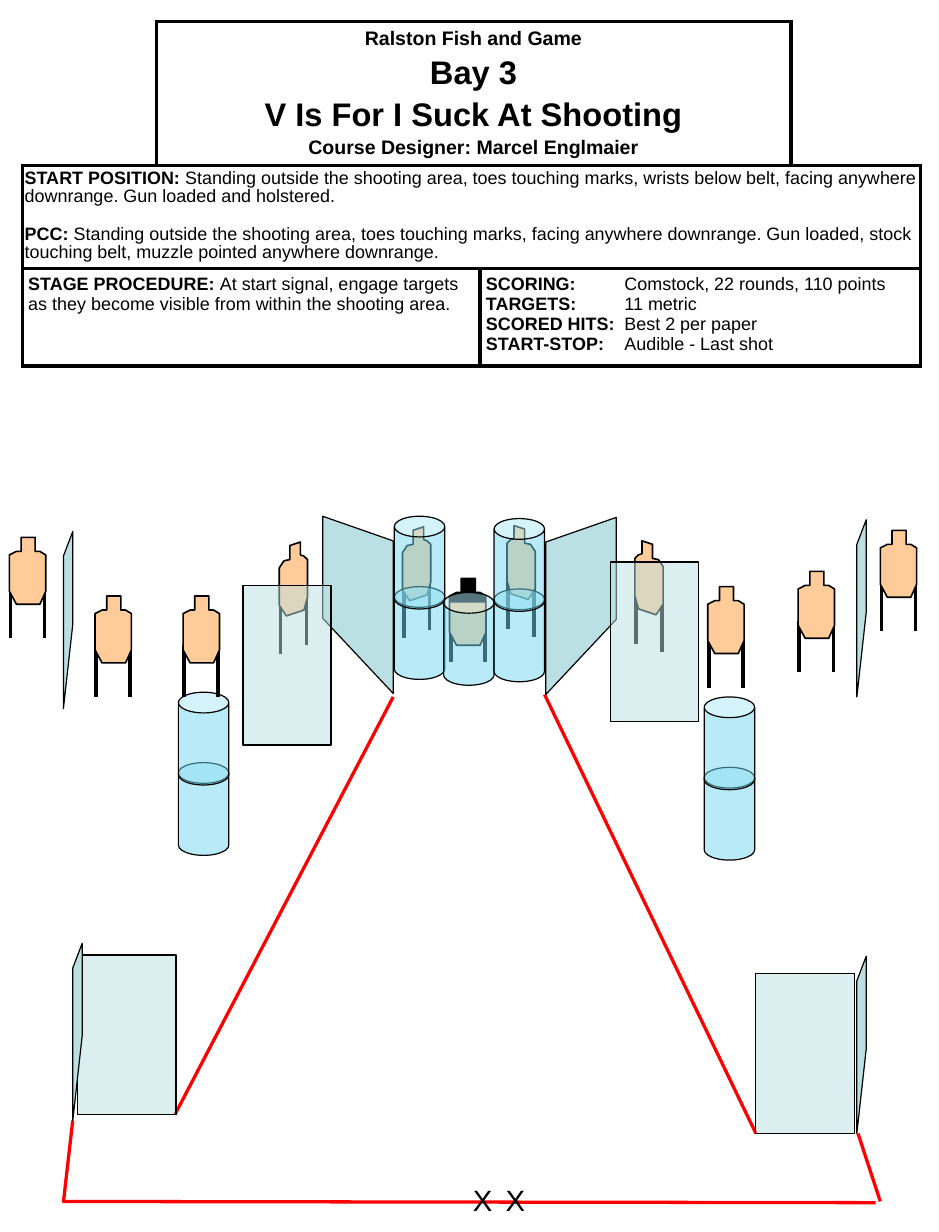
"""Builds the one-page stage diagram for a shooting match."""
import dataclasses

import lxml.etree
import pptx
import pptx.dml.color
import pptx.enum.shapes
import pptx.enum.text
import pptx.oxml.ns
import pptx.util

SHAPES = pptx.enum.shapes.MSO_SHAPE
FRONT_TARGET = [(.1, 0), (.22, 0), (.22, .12), (.26, .12), (.31, .15), (.31, .46),
                (.26, .57), (.06, .57), (0, .46), (0, .15), (.06, .12), (.1, .12)]
ANGLED_TARGET = [(.09, .03), (.18, 0), (.18, .11), (.21, .12), (.24, .15), (.24, .47),
                 (.21, .58), (.06, .63), (0, .54), (0, .22), (.04, .16), (.09, .15)]
HARD_COVER = [(0, .08), (.01, .04), (.04, .02), (.06, .01), (.12, 0), (.24, 0),
              (.27, .02), (.3, .04), (.31, .08)]


@dataclasses.dataclass(frozen=True)
class Theme:
    font: str = "Arial"
    black: str = "000000"
    white: str = "FFFFFF"
    fault_line: str = "FF0000"
    target: str = "FFCC99"
    barrel: str = "73D9F1"
    wall: str = "BBE0E3"
    title: float = 20
    heading: float = 12
    body: float = 11
    mark: float = 18
    thin: float = .75
    outline: float = 1
    fault_width: float = 2
    thick: float = 2.25


def inches(value):
    return pptx.util.Cm(value * 2.54)


def color(value):
    return pptx.dml.color.RGBColor.from_string(value)


def add_element(parent, tag, **attributes):
    return lxml.etree.SubElement(parent, pptx.oxml.ns.qn(tag), attributes)


class StageSheet:
    def __init__(self, slide, theme):
        self.slide = slide
        self.theme = theme

    def style(self, shape, fill, width, translucent=False):
        shape.shadow.inherit = False
        shape.fill.solid()
        shape.fill.fore_color.rgb = color(fill)
        if translucent:
            solid = shape._element.spPr.find(pptx.oxml.ns.qn("a:solidFill"))
            add_element(solid[0], "a:alpha", val="50000")
        shape.line.color.rgb = color(self.theme.black)
        shape.line.width = pptx.util.Pt(width)

    def preset(self, kind, left, top, width, height, fill, translucent=False):
        shape = self.slide.shapes.add_shape(kind, *map(inches, (left, top, width, height)))
        self.style(shape, fill, self.theme.thin, translucent)
        return shape

    def polygon(self, left, top, points, fill, width, mirror=False):
        span = max(x for x, y in points)
        corners = [(inches(left + (span - x if mirror else x)), inches(top + y))
                   for x, y in points]
        builder = self.slide.shapes.build_freeform(*corners[0])
        builder.add_line_segments(corners[1:], close=True)
        self.style(builder.convert_to_shape(), fill, width)

    def line(self, start, end, stroke, width):
        straight = pptx.enum.shapes.MSO_CONNECTOR.STRAIGHT
        connector = self.slide.shapes.add_connector(straight, *map(inches, start + end))
        connector.line.color.rgb = color(stroke)
        connector.line.width = pptx.util.Pt(width)
        add_element(connector._element.spPr, "a:effectLst")

    def leg(self, x, top):
        self.line((x, top), (x, top + .44), self.theme.black, self.theme.thick)

    def front_target(self, left, top, leg_drop=.42):
        for offset in (.01, .3):
            self.leg(left + offset, top + leg_drop)
        self.polygon(left, top, FRONT_TARGET, self.theme.target, self.theme.outline)

    def angled_target(self, left, top, mirror=False):
        for offset, drop in ((.01, .51), (.23, .44)):
            self.leg(left + (.24 - offset if mirror else offset), top + drop)
        self.polygon(left, top, ANGLED_TARGET, self.theme.target, self.theme.outline, mirror)

    def barrels(self, left, top, count=2):
        for level in reversed(range(count)):
            barrel = self.preset(SHAPES.CAN, left, top + .6 * level, .43, .79,
                                 self.theme.barrel, True)
            barrel.adjustments[0] = .41

    def wall(self, left, top, width, far_edge, mirror=False):
        corners = [(width, far_edge), (0, 1.51), (0, .21), (width, 0)]
        self.polygon(left, top, corners, self.theme.wall, self.theme.thin, mirror)

    def screen(self, left, top, width):
        self.preset(SHAPES.RECTANGLE, left, top, width, 1.36, self.theme.wall, True)

    def text(self, paragraph, runs, size, before=0, spacing=None, centered=False, tab=None):
        if tab:
            tabs = add_element(paragraph._p.get_or_add_pPr(), "a:tabLst")
            add_element(tabs, "a:tab", pos=str(inches(tab)), algn="l")
        paragraph.font.name = self.theme.font
        paragraph.font.size = pptx.util.Pt(size)
        paragraph.font.color.rgb = color(self.theme.black)
        if before:
            paragraph.space_before = pptx.util.Pt(before)
        if spacing:
            paragraph.line_spacing = spacing
        if centered:
            paragraph.alignment = pptx.enum.text.PP_ALIGN.CENTER
        for content, bold in runs:
            run = paragraph.add_run()
            run.text = content
            run.font.bold = bold

    def mark(self, left, top):
        box = self.slide.shapes.add_textbox(*map(inches, (left, top, .31, .4)))
        box.text_frame.word_wrap = True
        self.text(box.text_frame.paragraphs[0], [("X", False)], self.theme.mark)

    def table(self, left, top, columns, rows):
        table = self.slide.shapes.add_table(
            len(rows), len(columns),
            *map(inches, (left, top, sum(columns), sum(rows)))).table
        table.first_row = table.horz_banding = False
        for column, width in zip(table.columns, columns):
            column.width = inches(width)
        for row, height in zip(table.rows, rows):
            row.height = inches(height)
        return table

    def cell(self, cell, sides="LRTB"):
        for side in sides:
            border = add_element(cell._tc.get_or_add_tcPr(), f"a:ln{side}",
                                 w=str(pptx.util.Pt(self.theme.thick)))
            add_element(add_element(border, "a:solidFill"), "a:srgbClr", val=self.theme.black)
        cell.fill.solid()
        cell.fill.fore_color.rgb = color(self.theme.white)

    def fill_cell(self, cell, paragraphs, margins=(.05, .05)):
        cell.margin_left = cell.margin_right = inches(margins[0])
        cell.margin_top = cell.margin_bottom = inches(margins[1])
        for index, (runs, options) in enumerate(paragraphs):
            frame = cell.text_frame
            paragraph = frame.add_paragraph() if index else frame.paragraphs[0]
            self.text(paragraph, runs, **options)


def add_briefing(sheet):
    theme = sheet.theme
    table = sheet.table(.19, .18, [1.14, 2.76, 2.65, 1.1], [1.23, .88, .83])
    open_corners = {(0, 0): "RB", (0, 3): "LB"}
    for row in range(3):
        for column in range(4):
            sheet.cell(table.cell(row, column), open_corners.get((row, column), "LRTB"))
    for first, last in (((0, 1), (0, 2)), ((1, 0), (1, 3)), ((2, 0), (2, 1)), ((2, 2), (2, 3))):
        table.cell(*first).merge(table.cell(*last))
    titles = [("Ralston Fish and Game", theme.heading, 0), ("Bay 3", theme.title, 3.5),
              ("V Is For I Suck At Shooting", theme.title, 3.5),
              ("Course Designer: Marcel Englmaier", theme.heading, 2)]
    sheet.fill_cell(table.cell(0, 1), [
        ([(title, True)], dict(size=size, before=before, centered=True))
        for title, size, before in titles])
    table.cell(0, 1).vertical_anchor = pptx.enum.text.MSO_ANCHOR.MIDDLE
    starts = [("START POSITION:", " Standing outside the shooting area, toes touching marks, wrists "
               "below belt, facing anywhere downrange. Gun loaded and holstered.", 0),
              ("PCC: ", "Standing outside the shooting area, toes touching marks, facing anywhere "
               "downrange. Gun loaded, stock touching belt, muzzle pointed anywhere downrange.", 12.5)]
    sheet.fill_cell(table.cell(1, 0), [
        ([(label, True), (detail, False)], dict(size=theme.body, before=before, spacing=.9))
        for label, detail, before in starts], (.02, .04))
    procedure = [("STAGE PROCEDURE: ", True), ("At start signal, engage targets as they become "
                                               "visible from within the shooting area.", False)]
    sheet.fill_cell(table.cell(2, 0), [(procedure, dict(size=theme.body))])
    rules = [("SCORING:", "Comstock, 22 rounds, 110 points"), ("TARGETS:", "11 metric"),
             ("SCORED HITS:", "Best 2 per paper"), ("START-STOP:", "Audible - Last shot")]
    sheet.fill_cell(table.cell(2, 2), [
        ([(label, True), ("\t" + value, False)], dict(size=theme.body, tab=1.18))
        for label, value in rules])


def add_bay(sheet):
    theme = sheet.theme
    sheet.angled_target(2.38, 4.62)
    for start, end in (((3.35, 5.94), (1.49, 9.5)), ((6.44, 9.66), (4.64, 5.92)),
                       ((7.46, 10.25), (.54, 10.24)), ((.62, 9.55), (.54, 10.25)),
                       ((7.5, 10.24), (7.31, 9.66))):
        sheet.line(start, end, theme.fault_line, theme.fault_width)
    sheet.angled_target(4.32, 4.48, mirror=True)
    sheet.angled_target(3.43, 4.49)
    sheet.front_target(3.83, 4.93, leg_drop=.27)
    sheet.polygon(3.83, 5.05, HARD_COVER, theme.black, theme.thin)
    sheet.preset(SHAPES.RECTANGLE, 3.93, 4.94, .11, .11, theme.black)
    for left, top, count in ((3.36, 4.4, 2), (3.78, 5.05, 1), (4.21, 4.42, 2),
                             (6, 5.94, 2), (1.52, 5.9, 2)):
        sheet.barrels(left, top, count)
    for left in (3.93, 4.21):
        sheet.mark(left, 10.03)
    sheet.wall(4.65, 4.41, .6, .87)
    sheet.wall(2.75, 4.4, .6, .87, mirror=True)
    for left, top, width in ((2.07, 4.99, .75), (.66, 8.14, .84), (6.44, 8.3, .84)):
        sheet.screen(left, top, width)
    for left, top in ((.54, 4.53), (7.3, 4.43), (.62, 8.04), (7.3, 8.15)):
        sheet.wall(left, top, .08, .79)
    for left, top in ((.08, 4.58), (7.5, 4.52), (6.8, 4.87), (6.03, 5), (1.56, 5.08), (.81, 5.08)):
        sheet.front_target(left, top)
    sheet.angled_target(5.41, 4.61, mirror=True)
    sheet.screen(5.2, 4.79, .75)


def main():
    presentation = pptx.Presentation()
    presentation.slide_width, presentation.slide_height = inches(8), inches(10.5)
    sheet = StageSheet(presentation.slides.add_slide(presentation.slide_layouts[6]), Theme())
    add_briefing(sheet)
    add_bay(sheet)
    presentation.save("out.pptx")


if __name__ == "__main__":
    main()
